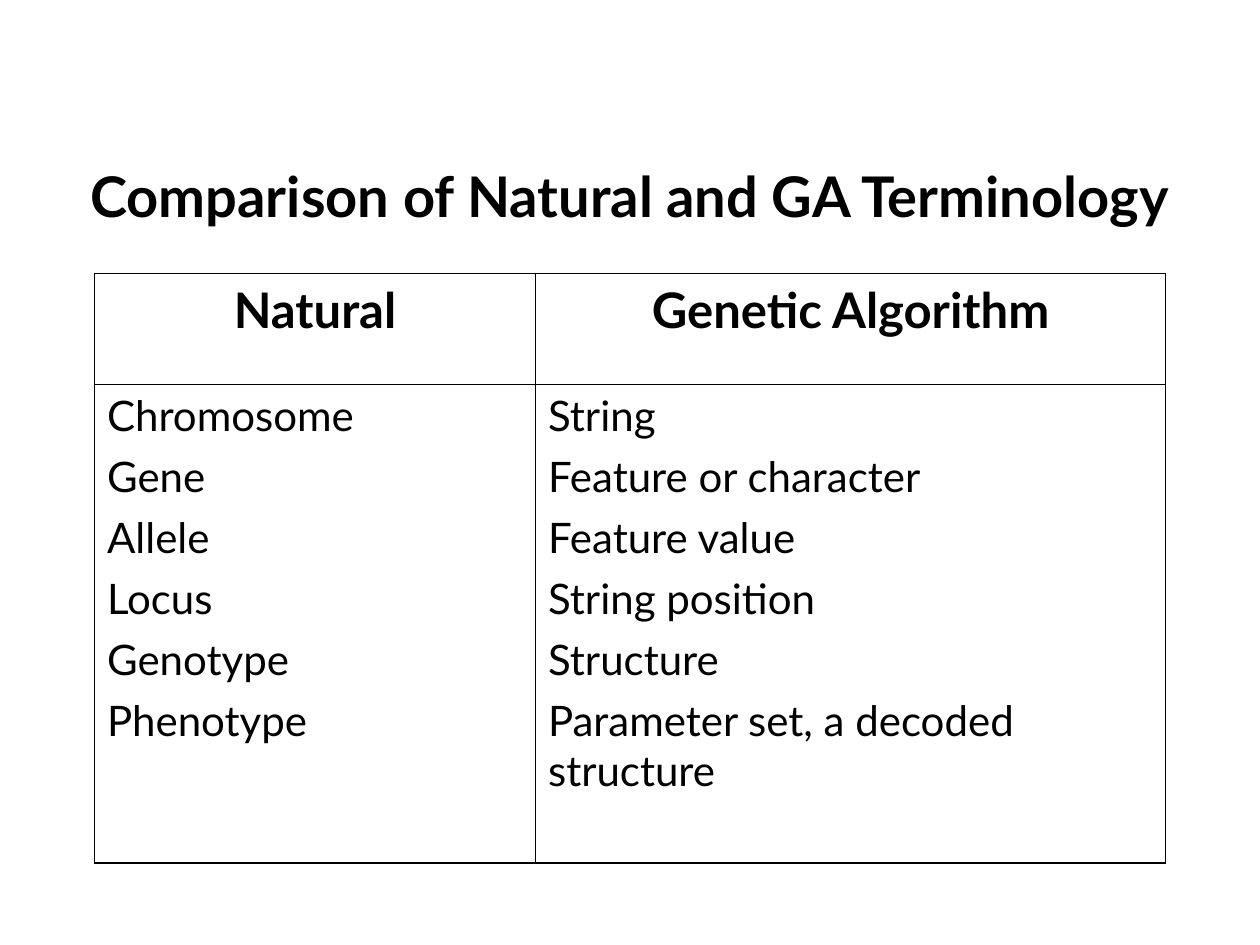
from lxml.etree import SubElement
from pptx import Presentation
from pptx.dml.color import RGBColor
from pptx.enum.text import MSO_ANCHOR, PP_ALIGN
from pptx.oxml.ns import qn
from pptx.util import Inches, Pt

INK = "000000"
OUTER, INNER = 1.08, 0.45
HEADS = ["Natural", "Genetic Algorithm"]
TERMS = [
    ("Chromosome", "String"),
    ("Gene", "Feature or character"),
    ("Allele", "Feature value"),
    ("Locus", "String position"),
    ("Genotype", "Structure"),
    ("Phenotype", "Parameter set, a decoded structure"),
]
TITLE = {"size": Pt(32), "bold": True, "name": "Lato"}
HEAD = {**TITLE, "size": Pt(28)}
BODY = {**TITLE, "size": Pt(24), "bold": False}


def color(code):
    return RGBColor.from_string(code)


def write(frame, lines, style, align):
    frame.word_wrap = True
    for i, line in enumerate(lines):
        para = frame.add_paragraph() if i else frame.paragraphs[0]
        para.alignment = align
        para.space_before = Pt(6 if i else 0)
        run = para.add_run()
        run.text = line
        for key, value in style.items():
            setattr(run.font, key, value)
        run.font.color.rgb = color(INK)


def add_title(slide, text):
    box = slide.shapes.add_textbox(Inches(-1), Inches(0.92), Inches(12), Inches(1.25))
    box.text_frame.vertical_anchor = MSO_ANCHOR.MIDDLE
    write(box.text_frame, [text], TITLE, PP_ALIGN.CENTER)


def set_edges(cell, widths):
    """Draw the cell's borders; widths maps side letters to points."""
    props = cell._tc.get_or_add_tcPr()
    for side, width in widths.items():
        line = SubElement(props, qn(f"a:ln{side}"), w=str(Pt(width)))
        fill = SubElement(line, qn("a:solidFill"))
        SubElement(fill, qn("a:srgbClr"), val=INK)


def add_terms(slide):
    table = slide.shapes.add_table(
        2, 2, Inches(0.75), Inches(2.17), Inches(8.5), Inches(4.68)
    ).table
    table.first_row = table.horz_banding = False
    for col, width in zip(table.columns, (3.5, 5)):
        col.width = Inches(width)
    for row, height in zip(table.rows, (0.88, 3.8)):
        row.height = Inches(height)

    for c, terms in enumerate(zip(*TERMS)):
        rows = [([HEADS[c]], HEAD, PP_ALIGN.CENTER), (terms, BODY, PP_ALIGN.LEFT)]
        for r, content in enumerate(rows):
            cell = table.cell(r, c)
            write(cell.text_frame, *content)
            set_edges(cell, {
                "L": INNER if c else OUTER,
                "R": OUTER if c else INNER,
                "T": INNER if r else OUTER,
                "B": OUTER if r else INNER,
            })
            cell.fill.background()


def main():
    deck = Presentation()
    deck.slide_width, deck.slide_height = Inches(10), Inches(7.5)
    slide = deck.slides.add_slide(deck.slide_layouts[6])
    add_title(slide, "Comparison of Natural and GA Terminology")
    add_terms(slide)
    deck.save("out.pptx")


if __name__ == "__main__":
    main()
